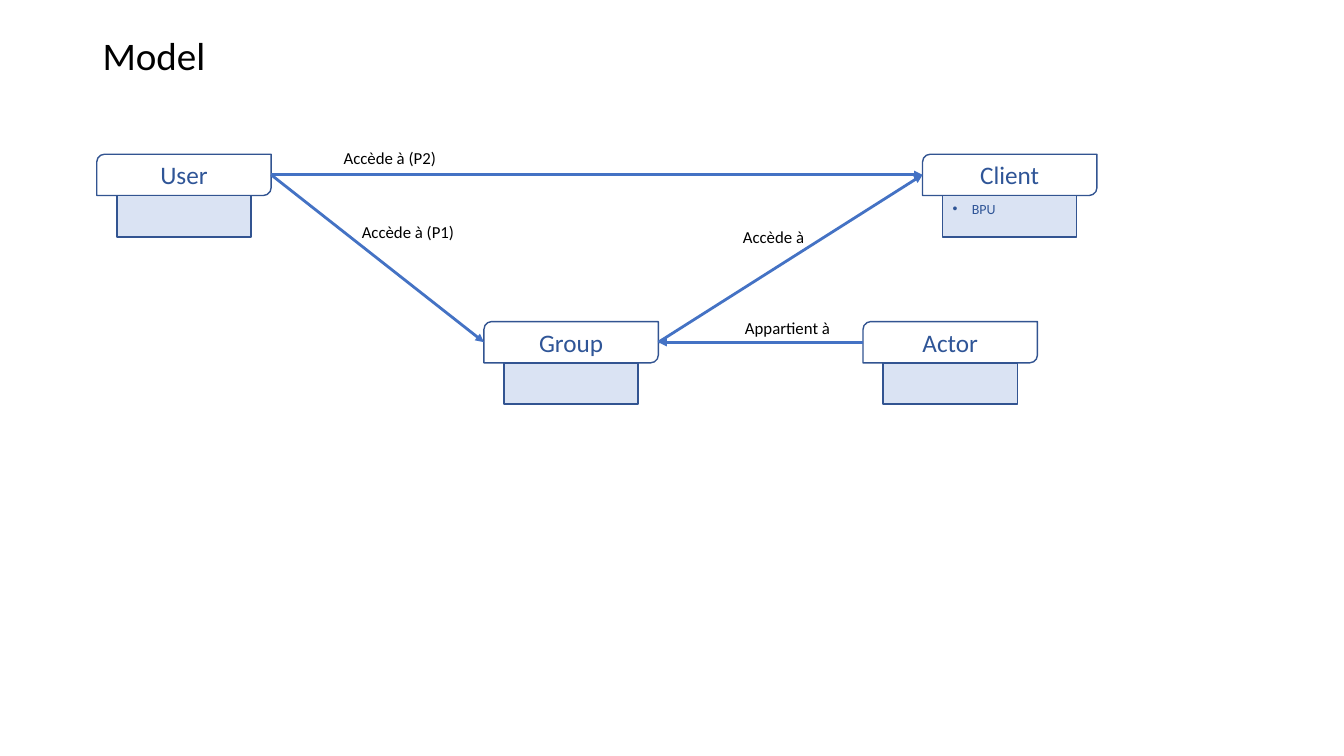
import pptx
import pptx.util
import pptx.dml.color
import pptx.enum.shapes
import pptx.enum.text
import pptx.oxml
import pptx.oxml.ns
from dataclasses import dataclass

Inches = pptx.util.Inches
Pt = pptx.util.Pt
Shape = pptx.enum.shapes.MSO_SHAPE
Align = pptx.enum.text.PP_ALIGN
Anchor = pptx.enum.text.MSO_ANCHOR
Fit = pptx.enum.text.MSO_AUTO_SIZE


def rgb(code):
    return pptx.dml.color.RGBColor.from_string(code)


def node(tag, **attrs):
    item = pptx.oxml.parse_xml(f"<a:{tag} {pptx.oxml.ns.nsdecls('a')}/>")
    for key, value in attrs.items():
        item.set(key, value)
    return item


@dataclass
class Theme:
    font: str = "Calibri"
    ink: str = "000000"
    name: str = "2F5597"
    edge: str = "325491"
    pale: str = "DAE3F3"
    arrow: str = "4472C4"
    title: float = 27.9
    head: float = 18
    label: float = 12
    item: float = 10


class Page:
    wide, high, inset = 1.73, 0.41, 0.2

    def __init__(self, slide, theme):
        self.slide = slide
        self.theme = theme

    def style(self, frame, text, size, color):
        frame.text = text
        for run in frame.paragraphs[0].runs:
            run.font.name = self.theme.font
            run.font.size = Pt(size)
            run.font.color.rgb = rgb(color)

    def title(self, text):
        box = self.slide.shapes.add_textbox(
            Inches(0.92), Inches(0.4), Inches(11.5), Inches(0.35))
        frame = box.text_frame
        frame.word_wrap = True
        frame.vertical_anchor = Anchor.MIDDLE
        self.style(frame, text, self.theme.title, self.theme.ink)
        frame.paragraphs[0].line_spacing = 0.9

    def label(self, text, left, top, width):
        box = self.slide.shapes.add_textbox(
            Inches(left), Inches(top), Inches(width), Inches(0.3))
        frame = box.text_frame
        frame.word_wrap = False
        frame.auto_size = Fit.SHAPE_TO_FIT_TEXT
        self.style(frame, text, self.theme.label, self.theme.ink)

    def block(self, group, kind, left, top, width):
        shape = group.shapes.add_shape(
            kind, Inches(left), Inches(top), Inches(width), Inches(self.high))
        shape.shadow.inherit = False
        shape.line.color.rgb = rgb(self.theme.edge)
        shape.line.width = Pt(1)
        return shape

    def entity(self, name, left, top, item=None):
        group = self.slide.shapes.add_group_shape()
        head = self.block(group, Shape.ROUND_2_DIAG_RECTANGLE, left, top, self.wide)
        head.adjustments[0] = 0.19
        head.adjustments[1] = 0
        head.fill.background()
        frame = head.text_frame
        frame.vertical_anchor = Anchor.MIDDLE
        self.style(frame, name, self.theme.head, self.theme.name)
        frame.paragraphs[0].alignment = Align.CENTER

        body = self.block(group, Shape.RECTANGLE, left + self.inset,
                          top + self.high, self.wide - 2 * self.inset)
        body.fill.solid()
        body.fill.fore_color.rgb = rgb(self.theme.pale)
        if item:
            self.bullet(body.text_frame, item)

    def bullet(self, frame, text):
        frame.vertical_anchor = Anchor.TOP
        self.style(frame, text, self.theme.item, self.theme.name)
        para = frame.paragraphs[0]
        para.alignment = Align.LEFT
        props = para._p.get_or_add_pPr()
        props.set("marL", str(Inches(0.19)))
        props.set("indent", str(-Inches(0.19)))
        props.append(node("buFont", typeface="Arial"))
        props.append(node("buChar", char="•"))

    def arrow(self, start, end):
        line = self.slide.shapes.add_connector(
            pptx.enum.shapes.MSO_CONNECTOR.STRAIGHT,
            *(Inches(n) for n in (*start, *end)))
        line.line.color.rgb = rgb(self.theme.arrow)
        line.line.width = Pt(2)
        line.line._get_or_add_ln().append(node("tailEnd", type="triangle"))
        line._element.spPr.append(node("effectLst"))


deck = pptx.Presentation()
deck.slide_width = Inches(13.33)
deck.slide_height = Inches(7.5)
page = Page(deck.slides.add_slide(deck.slide_layouts[6]), Theme())

page.title("Model")

upper, lower = 1.53, 3.19
spots = {
    "Client": (9.15, upper),
    "Actor": (8.56, lower),
    "Group": (4.8, lower),
    "User": (0.96, upper),
}
items = {"Client": "BPU"}
for name, (left, top) in spots.items():
    page.entity(name, left, top, items.get(name))


def port(name, side):
    left, top = spots[name]
    return left + (page.wide if side == "right" else 0), top + page.high / 2


links = [
    ("Actor", "left", "Group", "right", "Appartient à ", 7.29, 3.1, 1.09),
    ("User", "right", "Group", "left", "Accède à (P1)", 3.49, 2.15, 1.13),
    ("Group", "right", "Client", "left", "Accède à ", 7.27, 2.2, 0.86),
    ("User", "right", "Client", "left", "Accède à (P2) ", 3.31, 1.42, 1.17),
]
for start, out, end, into, text, left, top, width in links:
    page.arrow(port(start, out), port(end, into))
    page.label(text, left, top, width)

deck.save("out.pptx")
